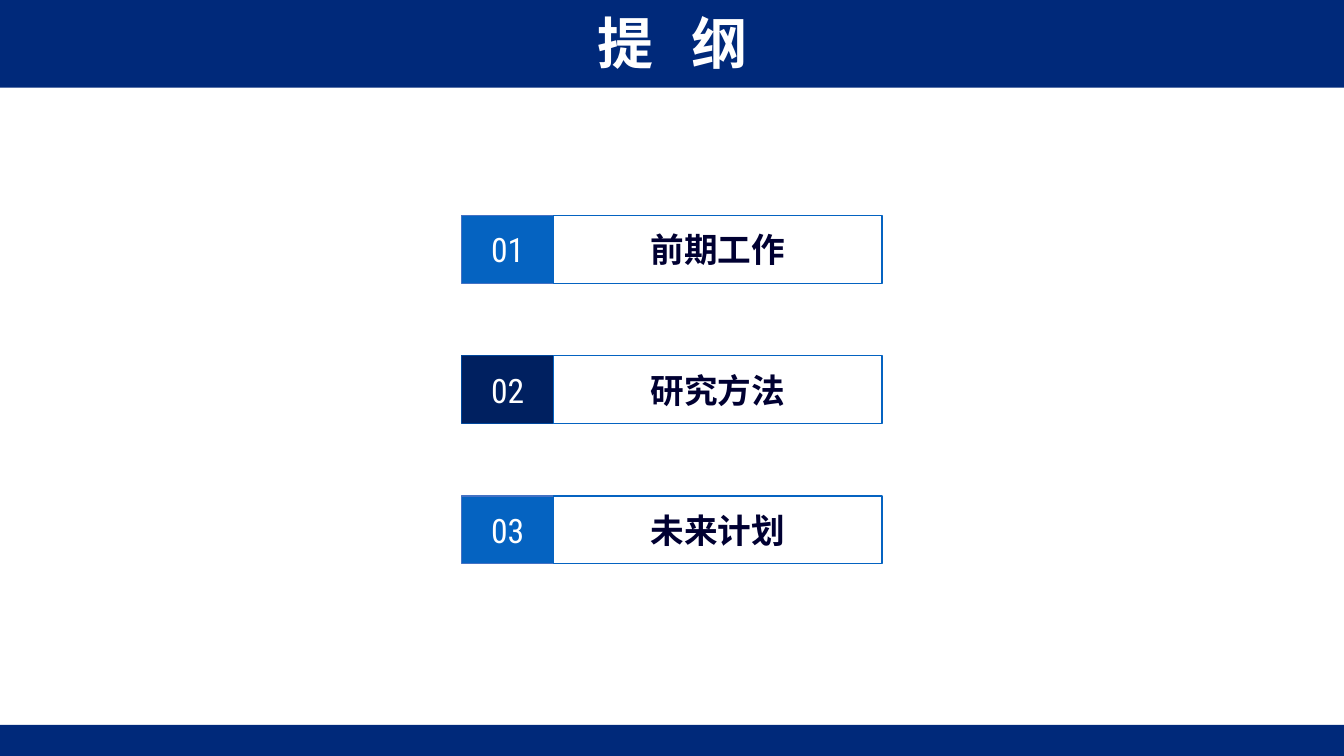
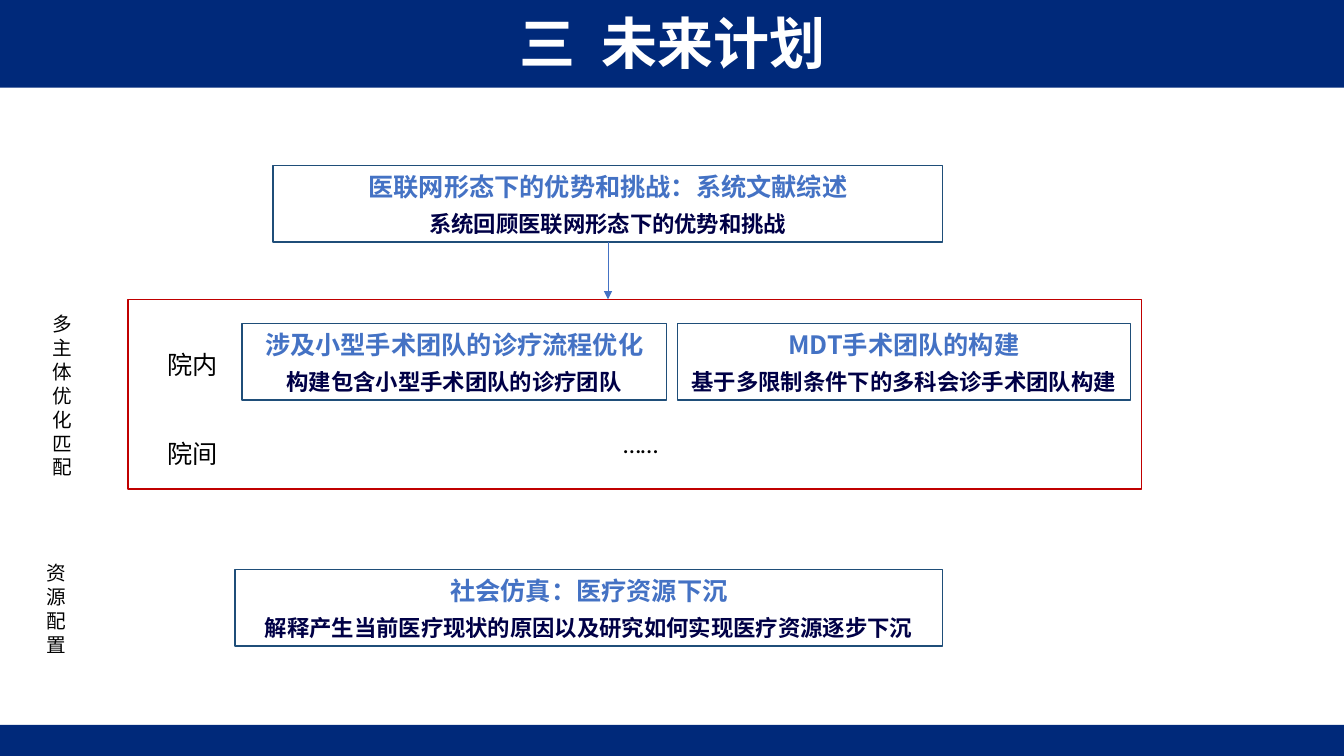
from dataclasses import dataclass

from pptx import Presentation
from pptx import util as u
from pptx.dml.color import RGBColor
from pptx.enum import shapes, text
from pptx.oxml.ns import qn

COLORS = {
    "band": "00297A", "white": "FFFFFF", "black": "000000",
    "blue": "0563C1", "navy": "002060", "navy_line": "00469B",
    "accent": "4472C4", "label": "000032", "detail": "000046",
    "card_line": "1F4E79", "frame": "C00000",
}
CJK = "Noto Sans CJK SC"
WIDTH, HEIGHT = 13.33, 7.5
LINE_RATIO = 1.22
CENTER, LEFT = text.PP_ALIGN.CENTER, text.PP_ALIGN.LEFT
RECT = shapes.MSO_SHAPE.RECTANGLE


@dataclass(frozen=True)
class Style:
    size: int
    color: str
    bold: bool = False
    latin: str = CJK
    east_asian: str = CJK


TITLE = Style(40, "white", True)
NUMBER = Style(24, "white", latin="Roboto Condensed")
LABEL = Style(24, "label", True, "Times New Roman")
HEADING = Style(18, "accent", True)
DETAIL = Style(16, "detail", True)
ROW = Style(18, "black")
SIDE = Style(14, "black")
DOTS = Style(18, "black", latin="Calibri", east_asian="Calibri")


@dataclass(frozen=True)
class Box:
    x: float
    y: float
    w: float
    h: float

    def lengths(self) -> list:
        return [u.Inches(v) for v in (self.x, self.y, self.w, self.h)]


@dataclass(frozen=True)
class Card:
    box: Box
    heading: str
    detail: str


@dataclass(frozen=True)
class Note:
    box: Box
    words: str
    style: Style
    align: int = LEFT


@dataclass(frozen=True)
class OutlineItem:
    label: str
    fill: str
    line: str


# Content
OUTLINE = [
    OutlineItem("前期工作", "blue", "accent"),
    OutlineItem("研究方法", "navy", "navy_line"),
    OutlineItem("未来计划", "blue", "accent"),
]
CARD_H = 0.76
CARDS = [
    Card(Box(2.71, 1.64, 6.64, CARD_H),
         "医联网形态下的优势和挑战：系统文献综述", "系统回顾医联网形态下的优势和挑战"),
    Card(Box(2.4, 3.21, 4.21, CARD_H),
         "涉及小型手术团队的诊疗流程优化", "构建包含小型手术团队的诊疗团队"),
    Card(Box(6.72, 3.21, 4.49, CARD_H),
         "MDT手术团队的构建", "基于多限制条件下的多科会诊手术团队构建"),
    Card(Box(2.33, 5.65, 7.02, CARD_H),
         "社会仿真：医疗资源下沉", "解释产生当前医疗现状的原因以及研究如何实现医疗资源逐步下沉"),
]
NOTES = [
    Note(Box(1.56, 3.41, 0.77, 0.4), "院内", ROW),
    Note(Box(1.56, 4.29, 0.77, 0.4), "院间", ROW),
    Note(Box(0.42, 3.04, 0.47, 1.75), "多主体优化匹配", SIDE),
    Note(Box(0.36, 5.51, 0.47, 1.04), "资源配置", SIDE),
    Note(Box(5.89, 4.19, 0.93, 0.4), "……", DOTS, CENTER),
]
FRAME = Box(1.27, 2.97, 10.05, 1.88)


def rgb(name: str) -> RGBColor:
    return RGBColor.from_string(COLORS[name])


def set_all(target, values: dict) -> None:
    for name, value in values.items():
        setattr(target, name, value)


def write(p, words: str, style: Style, align=CENTER, **spacing) -> None:
    """Put one formatted run into a paragraph."""
    set_all(p, {"alignment": align, **spacing})
    r = p.add_run()
    r.text = words
    set_all(r.font, {"size": u.Pt(style.size), "bold": style.bold,
                     "name": style.latin})
    r.font.color.rgb = rgb(style.color)
    ea = r.font._element.makeelement(qn("a:ea"), {"typeface": style.east_asian})
    r.font._element.find(qn("a:latin")).addnext(ea)


def exact(style: Style) -> u.Pt:
    return u.Pt(round(style.size * LINE_RATIO, 1))


def add_box(parent, box: Box, fill: str = "", line: str = "", kind=RECT):
    sp = parent.add_shape(kind, *box.lengths())
    sp.shadow.inherit = False
    if fill:
        sp.fill.solid()
        sp.fill.fore_color.rgb = rgb(fill)
    else:
        sp.fill.background()
    if line:
        sp.line.color.rgb = rgb(line)
        sp.line.width = u.Pt(1)
    else:
        sp.line.fill.background()
    return sp


def add_slide(prs, title: str):
    s = prs.slides.add_slide(prs.slide_layouts[5])
    sp = s.shapes.title
    set_all(sp, dict(zip(("left", "top", "width", "height"),
                         Box(1.67, 0, 10, 0.84).lengths())))
    set_all(sp.text_frame, {"word_wrap": True,
                            "vertical_anchor": text.MSO_ANCHOR.MIDDLE,
                            "auto_size": text.MSO_AUTO_SIZE.NONE})
    write(sp.text_frame.paragraphs[0], title, TITLE)
    return s


def move_bands_to_layout(s) -> None:
    """Place the top and bottom bands behind everything on the layout."""
    tree = s.slide_layout.shapes.element
    for box in (Box(0, 0, WIDTH, 0.87), Box(0, 7.19, WIDTH, 0.31)):
        tree.insert(2, add_box(s.shapes, box, "band").element)


def add_outline_item(s, index: int, item: OutlineItem) -> None:
    group = s.shapes.add_group_shape().shapes
    y = 2.14 + 1.39 * index
    cells = [
        (Box(4.58, y, 0.91, 0.67), item.fill, item.line, f"{index + 1:02}", NUMBER),
        (Box(5.49, y, 3.26, 0.67), "", "blue", item.label, LABEL),
    ]
    for box, fill, line, words, style in cells:
        sp = add_box(group, box, fill, line, shapes.MSO_SHAPE.PARALLELOGRAM)
        sp.adjustments[0] = 0
        set_all(sp.text_frame, {"vertical_anchor": text.MSO_ANCHOR.MIDDLE,
                                "margin_left": 0, "margin_right": 0})
        write(sp.text_frame.paragraphs[0], words, style)


def add_card(s, card: Card):
    sp = add_box(s.shapes, card.box, line="card_line")
    tf = sp.text_frame
    set_all(tf, {"word_wrap": True, "vertical_anchor": text.MSO_ANCHOR.TOP})
    for p, words, style in ((tf.paragraphs[0], card.heading, HEADING),
                            (tf.add_paragraph(), card.detail, DETAIL)):
        write(p, words, style, space_after=u.Pt(6), line_spacing=exact(style))
    return sp


def add_note(s, note: Note) -> None:
    tf = s.shapes.add_textbox(*note.box.lengths()).text_frame
    tf.word_wrap = True
    write(tf.paragraphs[0], note.words, note.style, note.align,
          line_spacing=exact(note.style))


def add_arrow(s, start, end_y: float) -> None:
    """Draw a vertical arrow down from the bottom of a shape."""
    x = start.left + start.width // 2
    c = s.shapes.add_connector(shapes.MSO_CONNECTOR.STRAIGHT, x,
                               start.top + start.height, x, u.Inches(end_y))
    c.begin_connect(start, 2)
    c.line.color.rgb = rgb("accent")
    c.line.width = u.Pt(0.5)
    ln = c.line._get_or_add_ln()
    ln.append(ln.makeelement(qn("a:tailEnd"), {"type": "triangle"}))
    ln.addnext(ln.makeelement(qn("a:effectLst"), {}))


def main() -> None:
    prs = Presentation()
    prs.slide_width, prs.slide_height = u.Inches(WIDTH), u.Inches(HEIGHT)

    # Outline
    s = add_slide(prs, "提   纲")
    move_bands_to_layout(s)
    for index, item in enumerate(OUTLINE):
        add_outline_item(s, index, item)

    # Future plan
    s = add_slide(prs, "三  未来计划")
    review, *_ = [add_card(s, card) for card in CARDS]
    add_box(s.shapes, FRAME, line="frame")
    for note in NOTES:
        add_note(s, note)
    add_arrow(s, review, FRAME.y)

    prs.save("out.pptx")


if __name__ == "__main__":
    main()
